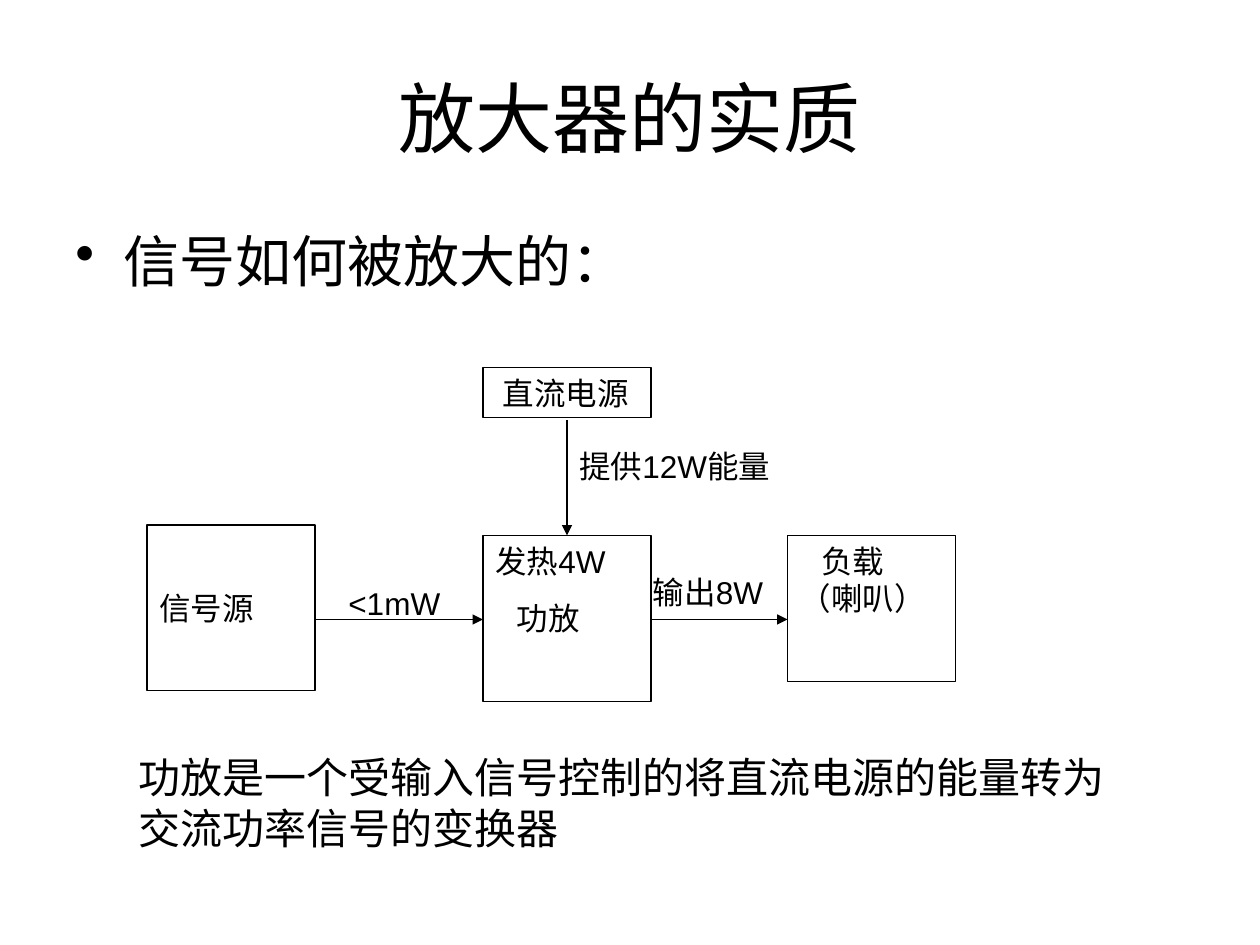
"""Draw the amplifier slide on a grid of twelve cells to the inch."""
from dataclasses import dataclass

from lxml import etree
from pptx import Presentation
from pptx.dml.color import RGBColor
from pptx.enum.shapes import MSO_CONNECTOR, MSO_SHAPE
from pptx.enum.text import MSO_ANCHOR, PP_ALIGN
from pptx.oxml.ns import qn
from pptx.util import Inches, Pt

BLACK = RGBColor(0, 0, 0)
RECT = MSO_SHAPE.RECTANGLE
STRAIGHT = MSO_CONNECTOR.STRAIGHT
TOP, MIDDLE = MSO_ANCHOR.TOP, MSO_ANCHOR.MIDDLE
LEFT, CENTER = PP_ALIGN.LEFT, PP_ALIGN.CENTER
FONT = "Arial"
CELL = Inches(1) // 12
WIDE, HIGH = 120, 90
SIDE = 16


@dataclass(frozen=True)
class Line:
    text: str
    indent: float = 0
    margin: float = 0
    bullet: str = ""


@dataclass(frozen=True)
class Item:
    col: float
    row: float
    cols: float
    rows: float
    lines: tuple[Line, ...]
    size: int = 18
    anchor: MSO_ANCHOR = TOP
    align: PP_ALIGN = LEFT
    framed: bool = False


@dataclass(frozen=True)
class Arrow:
    col: float
    row: float
    to_col: float
    to_row: float


ITEMS = (
    Item(6, 3.6, 108, 15, (Line("放大器的实质"),), 44, MIDDLE, CENTER),
    Item(6, 21, 108, 59.4, (Line("信号如何被放大的：", -0.38, 0.38, "•"),), 32),
    Item(14, 50, SIDE, 15.8, (Line("信号源"),), anchor=MIDDLE, framed=True),
    Item(46, 51, SIDE, 15.8, (Line("发热4W"), Line("功放", 0.17)), framed=True),
    Item(75, 51, SIDE, 13.9, (Line("负载（喇叭）", 0.17),), framed=True),
    Item(46, 35, SIDE, 4.8, (Line("直流电源", 0.06),), framed=True),
    Item(32, 55, 14, 4.8, (Line("<1mW"),)),
    Item(61, 54, 14, 4.8, (Line("输出8W"),)),
    Item(54, 42, 22, 4.8, (Line("提供12W能量"),)),
    Item(12, 71, 97, 10.8,
         (Line("功放是一个受输入信号控制的将直流电源的能量转为交流功率信号的变换器"),), 24),
)
ARROWS = (
    Arrow(30, 59, 46, 59),
    Arrow(62, 59, 75, 59),
    Arrow(54, 40, 54, 51),
)


def cells(*counts: float) -> list[int]:
    """Turn grid counts into lengths."""
    return [round(count * CELL) for count in counts]


def write(para, line: Line, item: Item) -> None:
    """Fill and format one paragraph."""
    para.text = line.text
    para.alignment = item.align
    para.space_before = Pt(11.2)
    props = para._p.get_or_add_pPr()
    props.set("marL", str(Inches(line.margin)))
    props.set("indent", str(Inches(line.indent)))
    if line.bullet:
        etree.SubElement(props, qn("a:buChar")).set("char", line.bullet)
    for run in para.runs:
        run.font.name = FONT
        run.font.size = Pt(item.size)
        run.font.color.rgb = BLACK


def draw_item(shapes, item: Item) -> None:
    """Add a framed box or a plain label."""
    place = cells(item.col, item.row, item.cols, item.rows)
    if item.framed:
        shape = shapes.add_shape(RECT, *place)
        shape.shadow.inherit = False
        shape.fill.background()
        shape.line.color.rgb = BLACK
        shape.line.width = Pt(0.75)
    else:
        shape = shapes.add_textbox(*place)
    frame = shape.text_frame
    frame.word_wrap = True
    frame.vertical_anchor = item.anchor
    for rank, line in enumerate(item.lines):
        write(frame.add_paragraph() if rank else frame.paragraphs[0], line, item)


def draw_arrow(shapes, arrow: Arrow) -> None:
    """Add a straight line with a filled head."""
    ends = cells(arrow.col, arrow.row, arrow.to_col, arrow.to_row)
    link = shapes.add_connector(STRAIGHT, *ends)
    link.line.color.rgb = BLACK
    link.line.width = Pt(0.75)
    props = link._element.spPr
    head = etree.SubElement(props.find(qn("a:ln")), qn("a:tailEnd"))
    head.set("type", "triangle")
    etree.SubElement(props, qn("a:effectLst"))


def main() -> None:
    """Build and save the slide."""
    deck = Presentation()
    deck.slide_width, deck.slide_height = cells(WIDE, HIGH)
    shapes = deck.slides.add_slide(deck.slide_layouts[6]).shapes
    for item in ITEMS:
        draw_item(shapes, item)
    for arrow in ARROWS:
        draw_arrow(shapes, arrow)
    deck.save("out.pptx")


if __name__ == "__main__":
    main()
